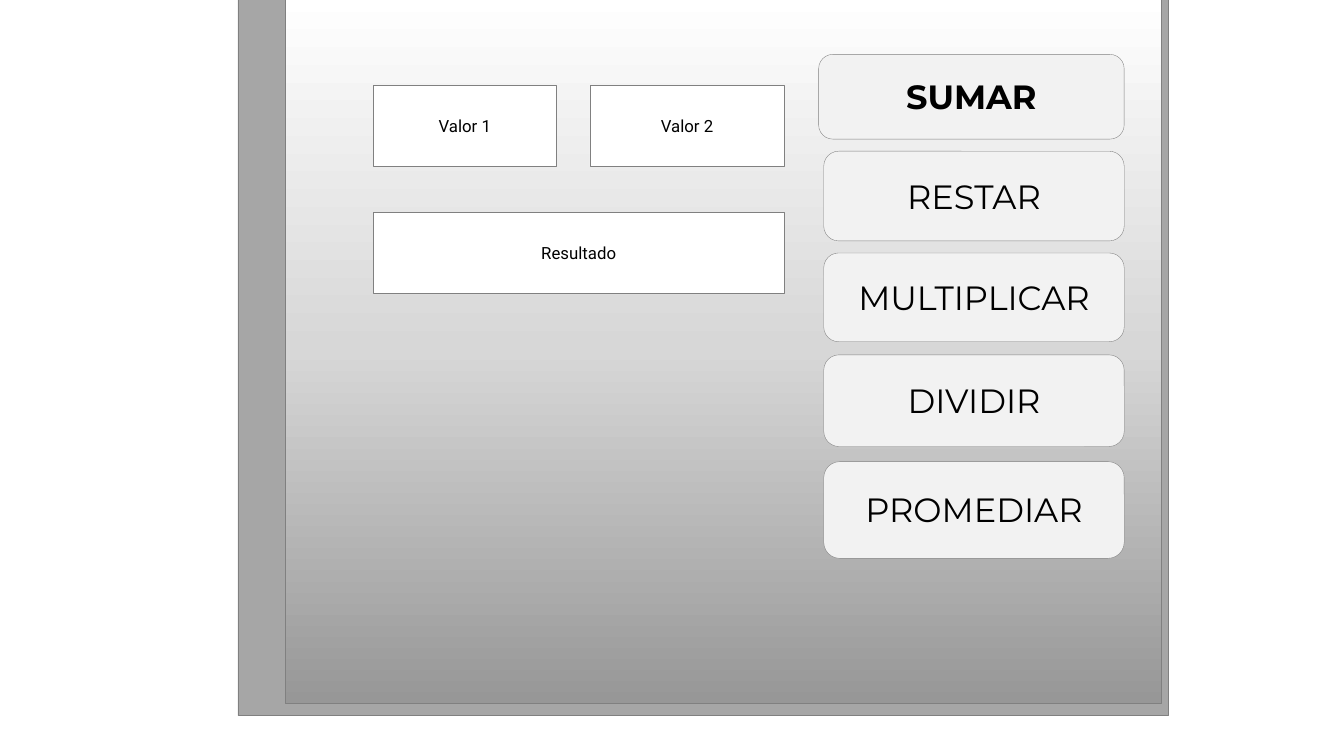
import copy
import pptx
import pptx.util
import pptx.dml.color
import pptx.enum.shapes
import pptx.enum.text
import pptx.oxml.ns

Inches = pptx.util.Inches
Pt = pptx.util.Pt
KIND = pptx.enum.shapes.MSO_SHAPE

COLORS = {
    "frame": "A6A6A6",
    "edge": "808080",
    "button": "F2F2F2",
    "field": "FFFFFF",
    "text": "000000",
    "low": "979797",
    "mid": "D7D7D7",
    "high": "FFFFFF",
}
FRAME = (2.36, -0.4, 9.23, 7.5)
PANEL = (2.83, -0.06, 8.69, 7.04)
STOPS = [(0, "low"), (0.5, "mid"), (1, "high")]
RIGHT = 11.15
BUTTONS = [
    ("SUMAR", 0.54, 3.03, 0.84, True),
    ("RESTAR", 1.5, 2.98, 0.89, False),
    ("MULTIPLICAR", 2.51, 2.98, 0.88, False),
    ("DIVIDIR", 3.52, 2.98, 0.91, False),
    ("PROMEDIAR", 4.58, 2.98, 0.96, False),
]
FIELDS = [
    ("Valor 1", 3.7, 0.85, 1.82),
    ("Valor 2", 5.85, 0.85, 1.93),
    ("Resultado", 3.7, 2.11, 4.08),
]
HEIGHT = 0.8


def tint(name):
    return pptx.dml.color.RGBColor.from_string(COLORS[name])


def draw(shapes, kind, place, fill):
    shape = shapes.add_shape(kind, *[Inches(n) for n in place])
    shape.shadow.inherit = False
    shape.fill.solid()
    shape.fill.fore_color.rgb = tint(fill)
    shape.line.color.rgb = tint("edge")
    shape.line.width = Pt(0.25)
    return shape


def shade(shape):
    shape.fill.gradient()
    shape.fill.gradient_angle = 90
    stops = next(shape._element.iter(pptx.oxml.ns.qn("a:gsLst")))
    stops.insert(1, copy.deepcopy(stops[0]))
    for stop, (place, name) in zip(shape.fill.gradient_stops, STOPS):
        stop.position = place
        stop.color.rgb = tint(name)


def label(shape, text, font, size, insets, wrap, bold=False):
    frame = shape.text_frame
    frame.word_wrap = wrap
    frame.vertical_anchor = pptx.enum.text.MSO_ANCHOR.MIDDLE
    left, top, base = insets
    frame.margin_left = frame.margin_right = Inches(left)
    frame.margin_top, frame.margin_bottom = Inches(top), Inches(base)
    line = frame.paragraphs[0]
    line.alignment = pptx.enum.text.PP_ALIGN.CENTER
    run = line.add_run()
    run.text = text
    run.font.name = font
    run.font.size = Pt(size)
    run.font.bold = bold
    run.font.color.rgb = tint("text")


def main():
    deck = pptx.Presentation()
    deck.slide_width, deck.slide_height = Inches(13.33), Inches(7.5)
    slide = deck.slides.add_slide(deck.slide_layouts[6])
    group = slide.shapes.add_group_shape()
    draw(group.shapes, KIND.RECTANGLE, FRAME, "frame")
    shade(draw(group.shapes, KIND.RECTANGLE, PANEL, "high"))
    for text, top, width, height, bold in BUTTONS:
        place = (RIGHT - width, top, width, height)
        button = draw(slide.shapes, KIND.ROUNDED_RECTANGLE, place, "button")
        label(button, text, "Montserrat", 24, (0.1, 0, 0.01), True, bold)
    for text, left, top, width in FIELDS:
        place = (left, top, width, HEIGHT)
        field = draw(slide.shapes, KIND.RECTANGLE, place, "field")
        label(field, text, "Roboto", 12, (0.05, 0.02, 0.02), False)
    deck.save("out.pptx")


if __name__ == "__main__":
    main()
